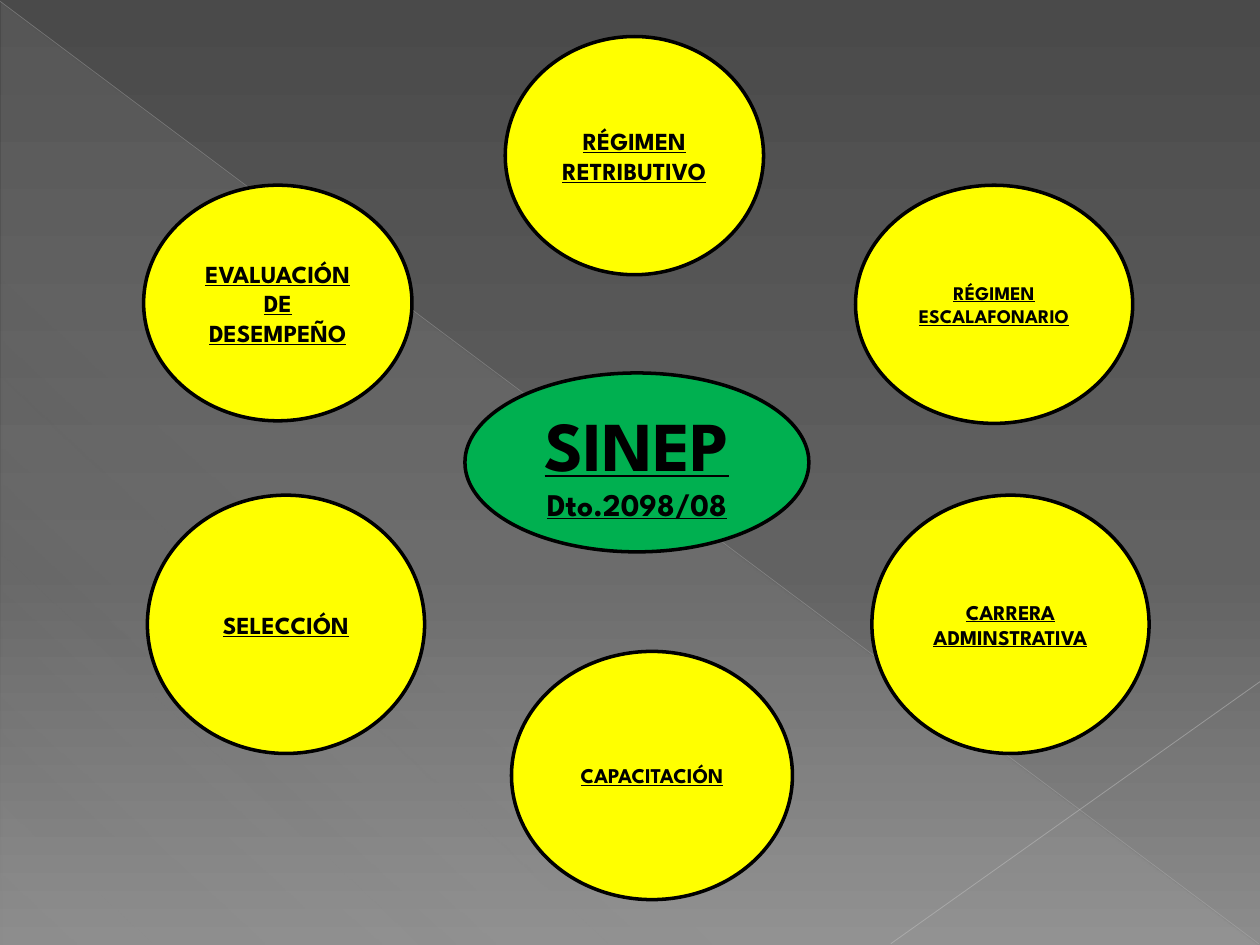
from lxml.etree import SubElement
from pptx import Presentation
from pptx.dml.color import RGBColor
from pptx.enum.shapes import MSO_CONNECTOR, MSO_SHAPE
from pptx.enum.text import MSO_ANCHOR, PP_ALIGN
from pptx.oxml.ns import qn
from pptx.util import Inches, Pt

BLACK = RGBColor(0, 0, 0)
GREEN = RGBColor(0x00, 0xB0, 0x50)
YELLOW = RGBColor(0xFF, 0xFF, 0x00)
FONT = "League Spartan"

# Stops: position, colour, opacity (all in percent)
BACK = [(0, "4A4A4A", 100), (60, "626262", 100), (100, "8C8C8C", 100)]
SHEEN = [(0, "D2D2D2", 10), (70, "D2D2D2", 8), (100, "D2D2D2", 1)]

# Lines: start, end, colour, width, opacity
RAYS = [
    ((0, 0.01), (9.99, 7.49), RGBColor(0xBF, 0xBF, 0xBF), 0.39, 35),
    ((10, 5.41), (7.07, 7.49), RGBColor(0xC6, 0xC6, 0xC6), 0.47, 45),
]

# Ovals: box, fill, paragraphs with their sizes
OVALS = [
    ((3.69, 2.96, 2.73, 1.42), GREEN, [("SINEP", 40), ("Dto.2098/08", 18)]),
    ((4.01, 0.29, 2.05, 1.89), YELLOW, [("RÉGIMEN RETRIBUTIVO", 14)]),
    ((1.14, 1.47, 2.13, 1.87), YELLOW, [("EVALUACIÓN DE DESEMPEÑO", 14)]),
    ((6.79, 1.47, 2.2, 1.89), YELLOW, [("RÉGIMEN ESCALAFONARIO", 11)]),
    ((4.06, 5.17, 2.23, 1.97), YELLOW, [("CAPACITACIÓN", 12)]),
    ((1.17, 3.93, 2.2, 2.05), YELLOW, [("SELECCIÓN", 14)]),
    ((6.92, 3.93, 2.2, 2.05), YELLOW, [("CARRERA ADMINSTRATIVA", 12)]),
]


def set_alpha(color, alpha):
    SubElement(color, qn("a:alpha"), val=str(alpha * 1000))


def shade(fill, owner, stops, angle):
    """Give a fill its gradient stops and direction."""
    fill.gradient()
    grad = next(owner.iter(qn("a:gradFill")))
    for child in list(grad):
        grad.remove(child)
    group = SubElement(grad, qn("a:gsLst"))
    for pos, color, alpha in stops:
        stop = SubElement(group, qn("a:gs"), pos=str(pos * 1000))
        tint = SubElement(stop, qn("a:srgbClr"), val=color)
        if alpha < 100:
            set_alpha(tint, alpha)
    SubElement(grad, qn("a:lin"), ang=str(angle * 60000), scaled="0")


def add_shape(slide, kind, box):
    shape = slide.shapes.add_shape(kind, *map(Inches, box))
    shape.shadow.inherit = False
    return shape


def add_ray(slide, start, end, color, width, alpha):
    ray = slide.shapes.add_connector(
        MSO_CONNECTOR.STRAIGHT, *map(Inches, start + end))
    ray.line.color.rgb = color
    ray.line.width = Pt(width)
    props = ray.element.spPr
    set_alpha(next(props.iter(qn("a:srgbClr"))), alpha)
    SubElement(props, qn("a:effectLst"))


def add_oval(slide, box, color, lines):
    oval = add_shape(slide, MSO_SHAPE.OVAL, box)
    oval.fill.solid()
    oval.fill.fore_color.rgb = color
    oval.line.color.rgb = BLACK
    oval.line.width = Pt(2)
    frame = oval.text_frame
    frame.word_wrap = True
    frame.vertical_anchor = MSO_ANCHOR.MIDDLE
    frame.text = "\n".join(text for text, size in lines)
    for para, (text, size) in zip(frame.paragraphs, lines):
        para.alignment = PP_ALIGN.CENTER
        font = para.runs[0].font
        font.name, font.size = FONT, Pt(size)
        font.bold = font.underline = True
        font.color.rgb = BLACK


def main():
    deck = Presentation()
    deck.slide_width, deck.slide_height = Inches(10), Inches(7.5)
    slide = deck.slides.add_slide(deck.slide_layouts[6])

    # Backdrop
    shade(slide.background.fill, slide.element, BACK, 90)
    sheen = add_shape(slide, MSO_SHAPE.RIGHT_TRIANGLE, (0.01, 0.02, 9.98, 7.48))
    shade(sheen.fill, sheen.element, SHEEN, 133)
    sheen.line.fill.background()
    for ray in RAYS:
        add_ray(slide, *ray)

    # Centre and its six topics
    for oval in OVALS:
        add_oval(slide, *oval)

    deck.save("out.pptx")


if __name__ == "__main__":
    main()
